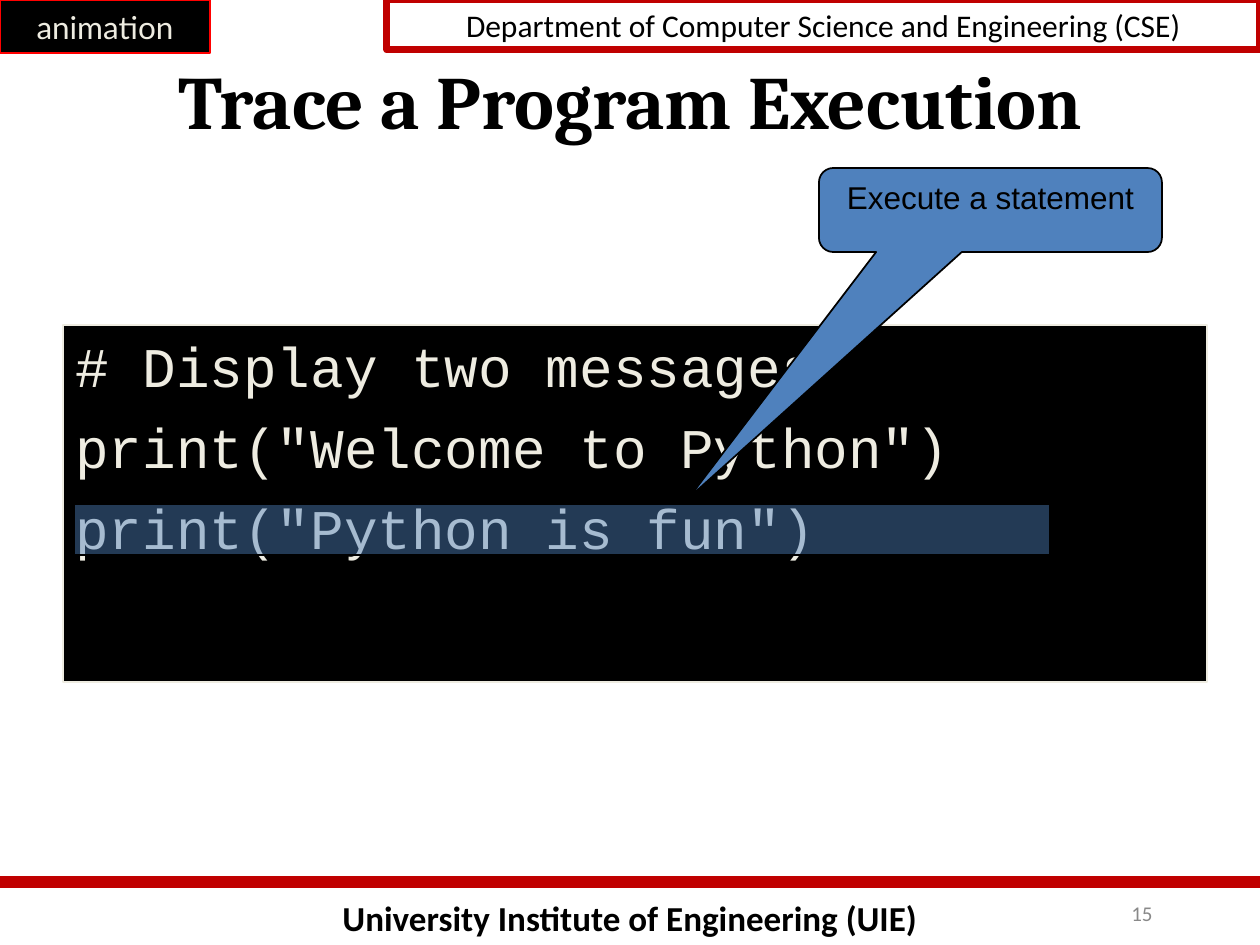
from dataclasses import dataclass

from lxml.etree import SubElement
from pptx import Presentation
from pptx.dml.color import RGBColor
from pptx.enum.shapes import MSO_CONNECTOR, MSO_SHAPE
from pptx.enum.text import MSO_ANCHOR, PP_ALIGN
from pptx.oxml.ns import qn
from pptx.util import Emu, Pt

SCALE = 914400 / 126


@dataclass(frozen=True)
class Theme:
    black: str = "000000"
    cream: str = "EEECE1"
    red: str = "C00000"
    alert: str = "FF0000"
    blue: str = "4F81BD"
    gray: str = "898989"
    title: int = 43
    code: int = 32
    foot: int = 20
    body: int = 18
    small: int = 12


THEME = Theme()


@dataclass(frozen=True)
class Text:
    lines: tuple[str, ...]
    font: str
    size: int
    color: str = THEME.black
    bold: bool = False
    align: PP_ALIGN = PP_ALIGN.CENTER
    anchor: MSO_ANCHOR = MSO_ANCHOR.TOP
    wrap: bool = True
    hang: int = 0
    gap: int = 0


@dataclass(frozen=True)
class Box:
    left: int
    top: int
    width: int
    height: int
    text: Text | None = None
    fill: str | None = None
    line: str | None = None
    weight: float = 1
    alpha: int = 100
    kind: MSO_SHAPE | None = MSO_SHAPE.RECTANGLE
    adjust: tuple[float, ...] = ()


def px(value: int) -> Emu:
    return Emu(round(value * SCALE))


def write(frame, text: Text) -> None:
    frame.word_wrap = text.wrap
    frame.vertical_anchor = text.anchor
    for index, line in enumerate(text.lines):
        para = frame.paragraphs[0] if index == 0 else frame.add_paragraph()
        para.text = line
        para.alignment = text.align
        para.space_before = Pt(text.gap)
        font = para.font
        font.name, font.size, font.bold = text.font, Pt(text.size), text.bold
        font.color.rgb = RGBColor.from_string(text.color)
        if text.hang:
            props = para._p.get_or_add_pPr()
            props.set("marL", str(px(text.hang)))
            props.set("indent", str(-px(text.hang)))


def paint(shape, box: Box) -> None:
    shape.shadow.inherit = False
    for index, value in enumerate(box.adjust):
        shape.adjustments[index] = value
    if box.fill:
        shape.fill.solid()
        shape.fill.fore_color.rgb = RGBColor.from_string(box.fill)
        if box.alpha < 100:
            color = shape._element.spPr.find(f"{qn('a:solidFill')}/{qn('a:srgbClr')}")
            SubElement(color, qn("a:alpha")).set("val", str(box.alpha * 1000))
    else:
        shape.fill.background()
    shape.line.color.rgb = RGBColor.from_string(box.line)
    shape.line.width = Pt(box.weight)


def draw(slide, box: Box) -> None:
    place = [px(n) for n in (box.left, box.top, box.width, box.height)]
    if box.kind is None:
        shape = slide.shapes.add_textbox(*place)
    else:
        shape = slide.shapes.add_shape(box.kind, *place)
        paint(shape, box)
    if box.text:
        write(shape.text_frame, box.text)


def rule(slide, top: int, width: int, color: str, weight: float) -> None:
    line = slide.shapes.add_connector(
        MSO_CONNECTOR.STRAIGHT, px(0), px(top), px(width), px(top)
    )
    line.line.color.rgb = RGBColor.from_string(color)
    line.line.width = Pt(weight)
    SubElement(line._element.spPr, qn("a:effectLst"))


CODE = (
    "# Display two messages",
    'print("Welcome to Python")',
    'print("Python is fun")',
)

BOXES = (
    Box(0, 890, 1260, 55, kind=None, text=Text(
        ("University Institute of Engineering (UIE)",), "Calibri", THEME.foot, bold=True)),
    Box(387, 0, 873, 50, line=THEME.red, weight=4, text=Text(
        ("Department of Computer Science and Engineering (CSE)",), "Calibri", THEME.body)),
    Box(903, 882, 262, 63, kind=None, text=Text(
        ("15",), "Calibri", THEME.small, THEME.gray,
        align=PP_ALIGN.RIGHT, anchor=MSO_ANCHOR.MIDDLE)),
    Box(63, 325, 1144, 357, fill=THEME.black, line=THEME.cream, weight=0.75, text=Text(
        CODE, "Courier New", THEME.code, THEME.cream,
        align=PP_ALIGN.LEFT, hang=47, gap=8)),
    Box(94, 63, 1072, 73, kind=None, text=Text(
        ("Trace a Program Execution",), "Cambria", THEME.title, bold=True,
        anchor=MSO_ANCHOR.MIDDLE)),
    Box(74, 504, 976, 51, fill=THEME.blue, line=THEME.black, alpha=45),
    Box(819, 168, 343, 84, fill=THEME.blue, line=THEME.black,
        kind=MSO_SHAPE.ROUNDED_RECTANGULAR_CALLOUT, adjust=(-0.88, 3.43, 0.17),
        text=Text(("Execute a statement",), "Arial", THEME.body)),
    Box(0, 0, 210, 53, fill=THEME.black, line=THEME.alert, text=Text(
        ("animation",), "Lato", THEME.body, THEME.cream,
        anchor=MSO_ANCHOR.MIDDLE, wrap=False)),
)


def main() -> None:
    deck = Presentation()
    deck.slide_width, deck.slide_height = px(1260), px(945)
    slide = deck.slides.add_slide(deck.slide_layouts[6])
    rule(slide, 882, 1260, THEME.red, 7)
    for box in BOXES:
        draw(slide, box)
    deck.save("out.pptx")


if __name__ == "__main__":
    main()
